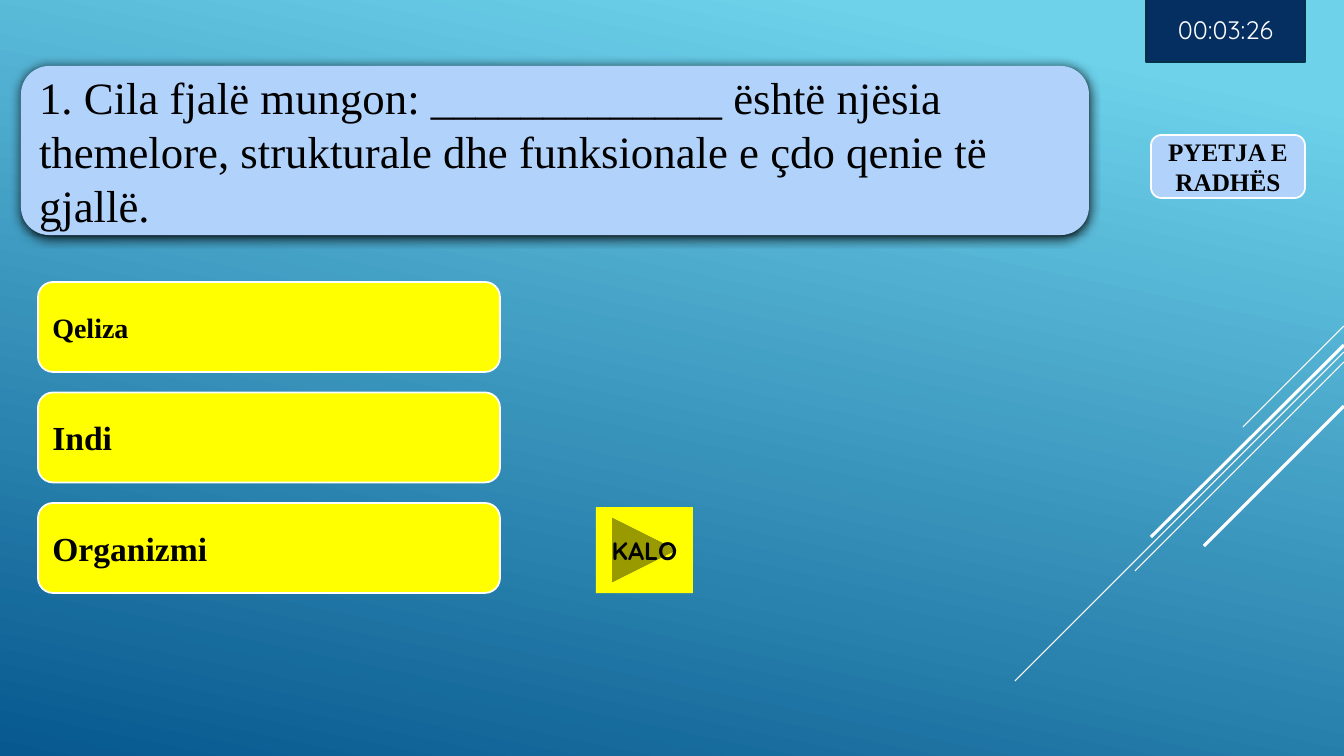
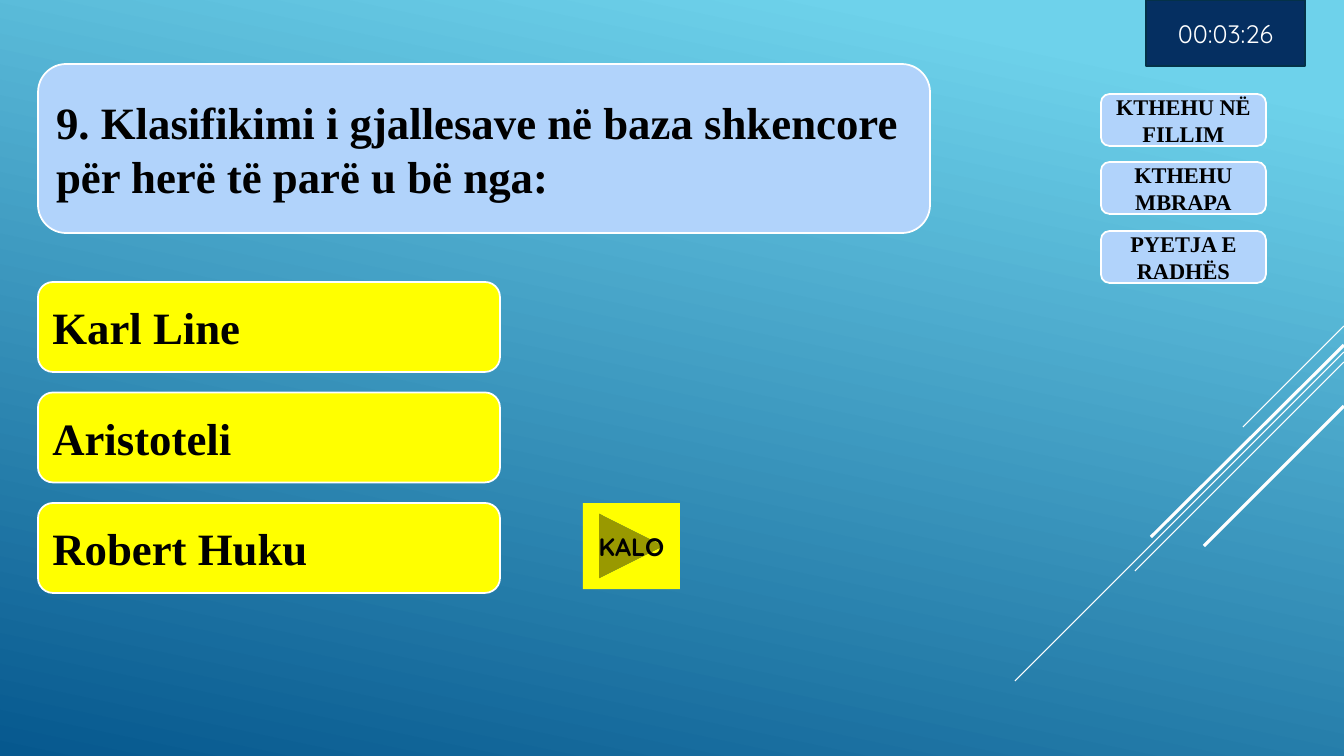
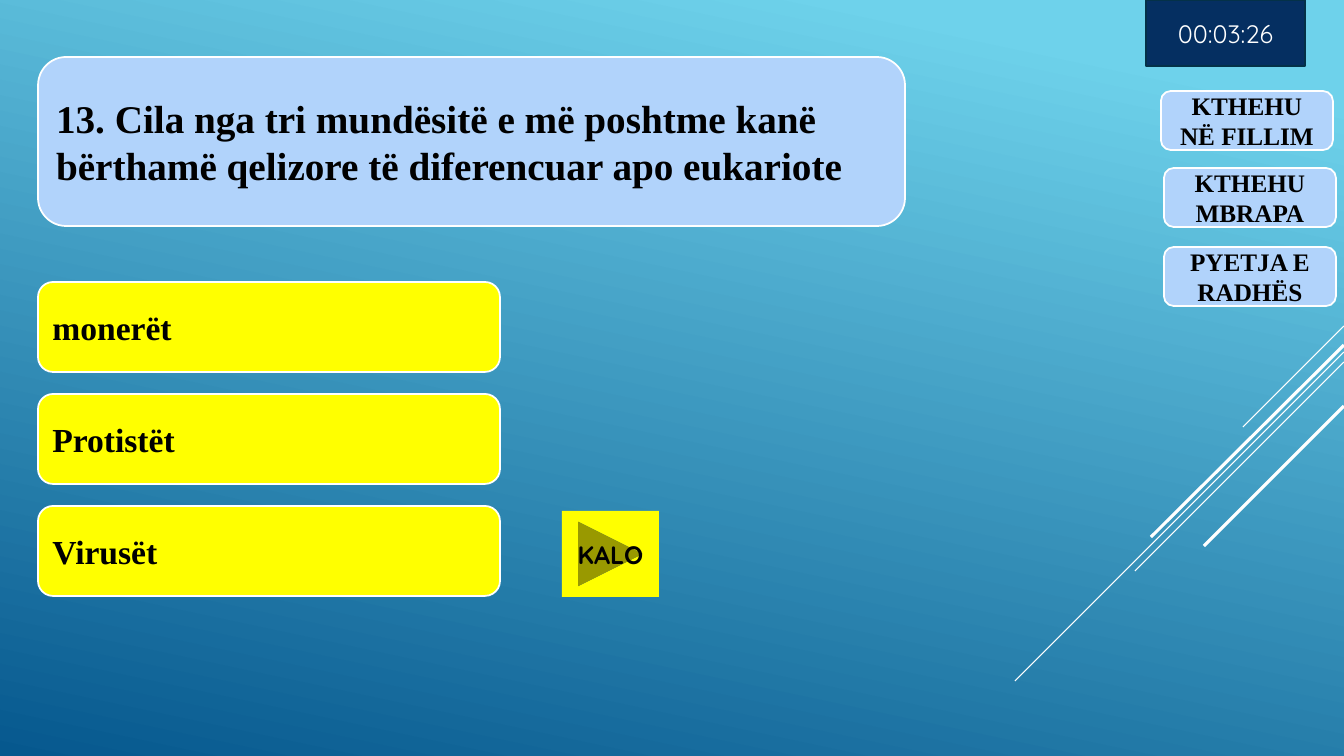
import dataclasses

import lxml.etree
import pptx
import pptx.dml.color
import pptx.enum.dml
import pptx.enum.shapes
import pptx.enum.text
import pptx.oxml
import pptx.oxml.ns
import pptx.util

PX = 914400 / 100.8
SHAPE = pptx.enum.shapes.MSO_SHAPE
ALIGN = pptx.enum.text.PP_ALIGN
qn = pptx.oxml.ns.qn


@dataclasses.dataclass(frozen=True)
class Theme:
    sky: str = "6ED2EB"
    sea: str = "06588E"
    panel: str = "B1D3FB"
    answer: str = "FFFF00"
    clock: str = "052F61"
    clock_edge: str = "043148"
    white: str = "FFFFFF"
    black: str = "000000"
    serif: str = "Times New Roman"
    sans: str = "Quicksand"
    label_size: int = 18
    compact_size: int = 16
    edge: float = 1.25
    thin: float = 0.75
    thick: float = 2.25


THEME = Theme()
RAYS = [
    (326, 1243, 427, THEME.thin),
    (352, 1015, 681, THEME.thin),
    (362, 1135, 571, THEME.thin),
    (345, 1151, 537, THEME.thick),
    (406, 1204, 546, THEME.thick),
]
START, BACK, NEXT = "KTHEHU NË FILLIM", "KTHEHU MBRAPA", "PYETJA E RADHËS"
QUESTIONS = [
    dict(
        question="1. Cila fjalë mungon: _____________ është njësia themelore, "
                 "strukturale dhe funksionale e çdo qenie të gjallë.",
        panel=(21, 66, 1068, 169), size=32, bold=False, shadow=True,
        answers=[("Qeliza", 20), ("Indi", 24), ("Organizmi", 24)], pitch=110.5,
        nav=[(NEXT, 1151, 135)], nav_size=(154, 63), nav_type=THEME.label_size,
        skip=(596, 507), clock_top=-4),
    dict(
        question="9. Klasifikimi i gjallesave në baza shkencore për herë të parë u bë nga:",
        panel=(38, 64, 892, 169), size=32, bold=True, shadow=False,
        answers=[("Karl Line", 32), ("Aristoteli", 32), ("Robert Huku", 32)], pitch=110.5,
        nav=[(START, 1101, 94), (BACK, 1101, 162), (NEXT, 1101, 231)],
        nav_size=(165, 52), nav_type=THEME.compact_size,
        skip=(583, 503), clock_top=0),
    dict(
        question="13. Cila nga tri mundësitë e më poshtme kanë bërthamë qelizore "
                 "të diferencuar apo eukariote",
        panel=(38, 57, 867, 169), size=28, bold=True, shadow=False,
        answers=[("monerët", 24), ("Protistët", 24), ("Virusët", 24)], pitch=112,
        nav=[(START, 1161, 91), (BACK, 1164, 168), (NEXT, 1164, 247)],
        nav_size=(172, 59), nav_type=THEME.label_size,
        skip=(562, 511), clock_top=0),
]


def emu(length):
    return pptx.util.Emu(round(length * PX))


def rgb(color):
    return pptx.dml.color.RGBColor.from_string(color)


def write(shape, text, *, size=THEME.label_size, font=THEME.serif, color=THEME.black,
          bold=False, align=ALIGN.LEFT):
    frame = shape.text_frame
    frame.word_wrap = True
    frame.auto_size = pptx.enum.text.MSO_AUTO_SIZE.NONE
    frame.vertical_anchor = pptx.enum.text.MSO_ANCHOR.MIDDLE
    frame.margin_top = frame.margin_bottom = 0
    paragraph = frame.paragraphs[0]
    paragraph.alignment = align
    paragraph.line_spacing = 1.0
    run = paragraph.add_run()
    run.text = text
    run.font.name = font
    run.font.size = pptx.util.Pt(size)
    run.font.bold = bold
    run.font.color.rgb = rgb(color)


def block(slide, box, fill, *, kind=SHAPE.ROUNDED_RECTANGLE, edge=THEME.white):
    shape = slide.shapes.add_shape(kind, *map(emu, box))
    shape.shadow.inherit = False
    shape.fill.solid()
    shape.fill.fore_color.rgb = rgb(fill)
    if edge:
        shape.line.color.rgb = rgb(edge)
        shape.line.width = pptx.util.Pt(THEME.edge)
    else:
        shape.line.fill.background()
    return shape


def cast_shadow(shape):
    effects = shape._element.spPr.find(qn("a:effectLst"))
    shade = lxml.etree.SubElement(
        effects, qn("a:outerShdw"), blurRad=str(pptx.util.Pt(8.5)),
        dist=str(pptx.util.Pt(1)), dir="5400000", algn="ctr", rotWithShape="0")
    lxml.etree.SubElement(shade, qn("a:srgbClr"), val=THEME.black)


def paint_background(layout):
    fill = layout.background.fill
    fill.gradient()
    fill.gradient_angle = 258
    for stop, color, position in zip(fill.gradient_stops, (THEME.sky, THEME.sea), (0.1, 1)):
        stop.color.rgb = rgb(color)
        stop.position = position


def draw_rays(slide, layout):
    for start_y, end_x, end_y, weight in RAYS:
        ray = slide.shapes.add_connector(
            pptx.enum.shapes.MSO_CONNECTOR.STRAIGHT,
            emu(1344), emu(start_y), emu(end_x), emu(end_y))
        ray.line.color.rgb = rgb(THEME.white)
        ray.line.width = pptx.util.Pt(weight)
        lxml.etree.SubElement(ray._element.spPr, qn("a:effectLst"))
        layout.shapes._spTree.append(ray._element)


def place_question(slide, box, text, size, bold, shadow):
    panel = block(slide, box, THEME.panel, edge=None if shadow else THEME.white)
    if shadow:
        cast_shadow(panel)
    x, y, width, height = box
    inset = 8
    question = slide.shapes.title
    question.left, question.top = emu(x + inset), emu(y)
    question.width, question.height = emu(width - 2 * inset), emu(height)
    write(question, text, size=size, bold=bold)
    slide.shapes._spTree.append(question._element)


def place_answers(slide, box, answers, pitch):
    x, y, width, height = box
    for row, (answer, size) in enumerate(answers):
        button = block(slide, (x, y + row * pitch, width, height), THEME.answer)
        write(button, answer, size=size, bold=True)


def place_navigation(slide, buttons, button_size, type_size):
    for label, x, y in buttons:
        button = block(slide, (x, y, *button_size), THEME.panel)
        write(button, label, size=type_size, bold=True, align=ALIGN.CENTER)


def place_skip(slide, box):
    skip = block(slide, box, THEME.answer, kind=SHAPE.ACTION_BUTTON_FORWARD_OR_NEXT, edge=None)
    write(skip, "KALO", font=THEME.sans, bold=True, align=ALIGN.CENTER)


def place_clock(slide, box):
    clock = block(slide, box, THEME.clock, kind=SHAPE.RECTANGLE, edge=THEME.clock_edge)
    write(clock, "00:03:26", font=THEME.sans, color=THEME.white, align=ALIGN.CENTER)


def question_slide(slide, quiz):
    place_question(slide, quiz["panel"], quiz["question"], quiz["size"],
                   quiz["bold"], quiz["shadow"])
    place_answers(slide, (38, 282, 462, 90), quiz["answers"], quiz["pitch"])
    place_navigation(slide, quiz["nav"], quiz["nav_size"], quiz["nav_type"])
    place_skip(slide, (*quiz["skip"], 97, 86))
    place_clock(slide, (1146, quiz["clock_top"], 159, 66))


def main():
    deck = pptx.Presentation()
    deck.slide_width, deck.slide_height = emu(1344), emu(756)
    layout = deck.slide_layouts[5]
    paint_background(layout)
    slides = [deck.slides.add_slide(layout) for _ in QUESTIONS]
    draw_rays(slides[0], layout)
    for slide, quiz in zip(slides, QUESTIONS):
        question_slide(slide, quiz)
    deck.save("out.pptx")


if __name__ == "__main__":
    main()
